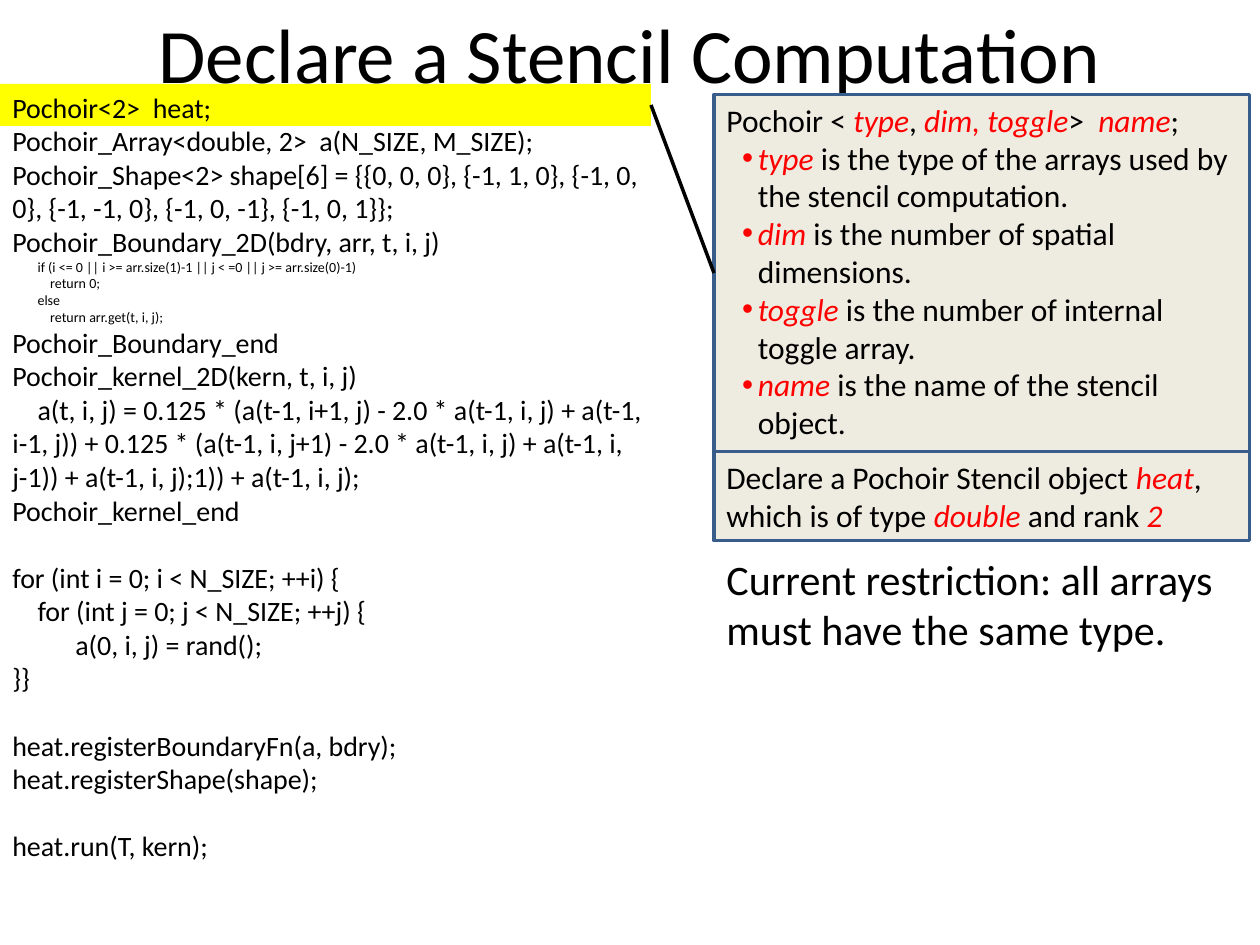
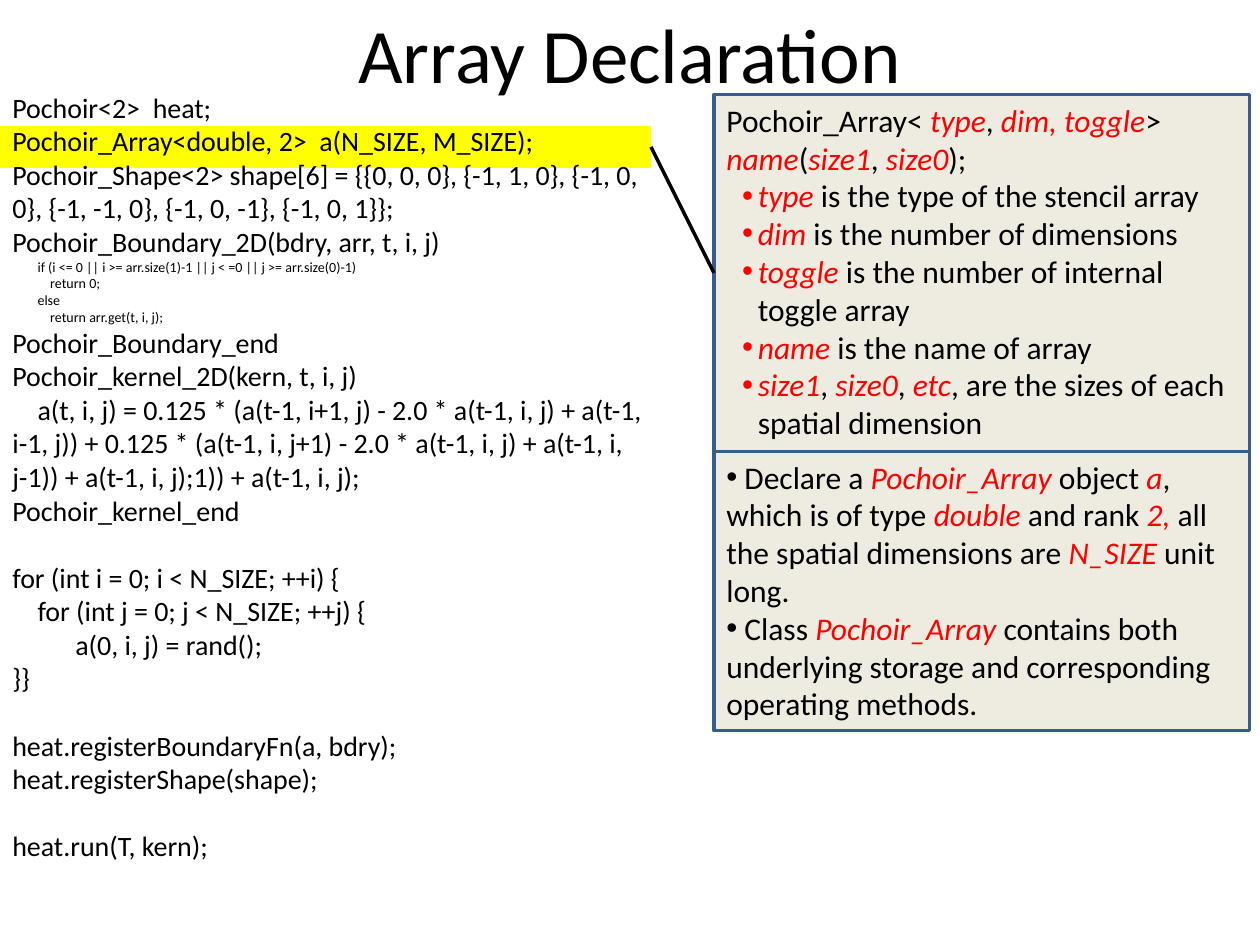
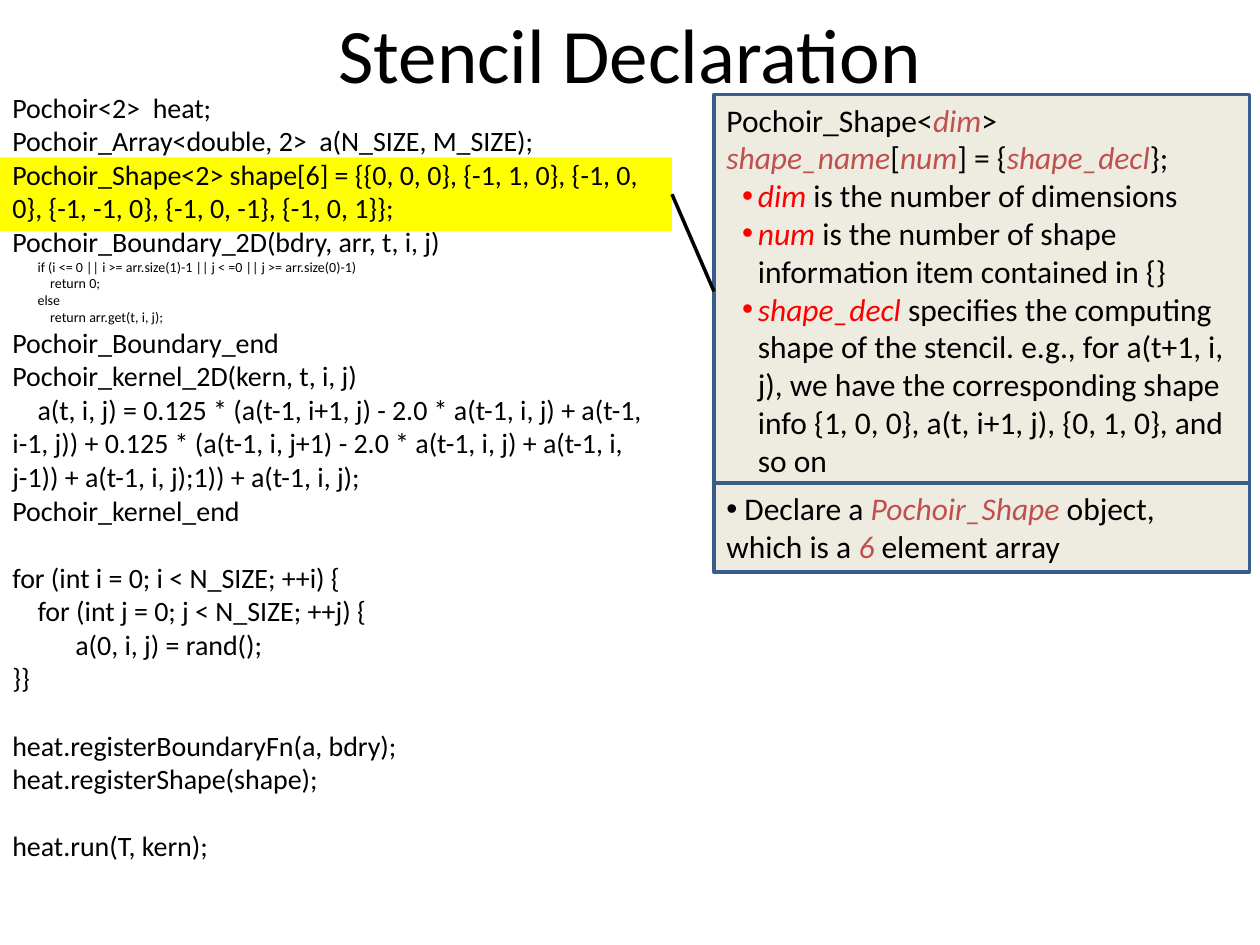
from lxml.etree import SubElement
from pptx import Presentation
from pptx.dml.color import RGBColor
from pptx.enum.shapes import MSO_CONNECTOR as Connector, MSO_SHAPE as Shape
from pptx.enum.text import MSO_ANCHOR as Anchor, MSO_AUTO_SIZE as AutoSize, PP_ALIGN as Align
from pptx.oxml.ns import qn
from pptx.util import Emu, Pt

EMU_PER_PX = 7620
TITLE_ONLY = 5
TOP, LEFT, BOTTOM, RIGHT = range(4)
BLACK, WHITE, RED, BRICK = "000000", "FFFFFF", "FF0000", "C0504D"
YELLOW, CREAM, NAVY = "FFFF00", "EEECE1", "385D8A"
CARD_X, CARD_Y, CARD_W = 680, 90, 510
CODE_SIZE, SMALL_SIZE, CODE_LINE = 16, 8, 19.2

CODE = [
    ("Pochoir<2>  heat;", 0),
    ("Pochoir_Array<double, 2>  a(N_SIZE, M_SIZE);", 0),
    ("Pochoir_Shape<2> shape[6] = {{0, 0, 0}, {-1, 1, 0}, {-1, 0, 0}, "
     "{-1, -1, 0}, {-1, 0, -1}, {-1, 0, 1}};", 0),
    ("Pochoir_Boundary_2D(bdry, arr, t, i, j)", 0),
    ("if (i <= 0 || i >= arr.size(1)-1 || j < =0 || j >= arr.size(0)-1)", 24),
    ("return 0;", 36),
    ("else", 24),
    ("return arr.get(t, i, j);", 36),
    ("Pochoir_Boundary_end", 0),
    ("Pochoir_kernel_2D(kern, t, i, j)", 0),
    ("a(t, i, j) = 0.125 * (a(t-1, i+1, j) - 2.0 * a(t-1, i, j) + a(t-1, i-1, j)) "
     "+ 0.125 * (a(t-1, i, j+1) - 2.0 * a(t-1, i, j) + a(t-1, i, j-1)) "
     "+ a(t-1, i, j);1)) + a(t-1, i, j);", 24),
    ("Pochoir_kernel_end", 0),
    ("for (int i = 0; i < N_SIZE; ++i) {", 0),
    ("for (int j = 0; j < N_SIZE; ++j) {", 24),
    ("a(0, i, j) = rand();", 60),
    ("}}", 0),
    ("heat.registerBoundaryFn(a, bdry);", 0),
    ("heat.registerShape(shape);", 0),
    ("heat.run(T, kern);", 0),
]
SMALL_LINES = range(4, 8)
BLOCK_STARTS = (12, 16, 18)


def px(length):
    return Emu(length * EMU_PER_PX)


def color(value):
    return RGBColor.from_string(value)


class Deck:
    font = "Calibri"

    def __init__(self):
        self.presentation = Presentation()
        self.presentation.slide_width = px(1200)
        self.presentation.slide_height = px(900)
        self.slide = None

    def new_slide(self):
        layout = self.presentation.slide_layouts[TITLE_ONLY]
        self.slide = self.presentation.slides.add_slide(layout)
        background = self.slide.background.fill
        background.solid()
        background.fore_color.rgb = color(WHITE)

    def format(self, run, size, tint=BLACK, italic=False):
        run.font.name = self.font
        run.font.size = Pt(size)
        run.font.color.rgb = color(tint)
        run.font.italic = italic

    def indent(self, paragraph, margin, first, bullet=False):
        properties = paragraph._p.get_or_add_pPr()
        properties.set("marL", str(px(margin)))
        properties.set("indent", str(px(first)))
        if bullet:
            SubElement(properties, qn("a:buFont"), typeface="Arial")
            SubElement(properties, qn("a:buChar"), char="•")

    def title(self, text):
        heading = self.slide.shapes.title
        heading.left, heading.top = px(60), px(0)
        heading.width, heading.height = px(1080), px(100)
        frame = heading.text_frame
        frame.text = text
        frame.auto_size = AutoSize.NONE
        frame.vertical_anchor = Anchor.MIDDLE
        frame.paragraphs[0].alignment = Align.CENTER
        self.format(frame.paragraphs[0].runs[0], 44)
        heading.element.getparent().append(heading.element)

    def rectangle(self, x, y, width, height, fill, line=None):
        box = self.slide.shapes.add_shape(
            Shape.RECTANGLE, px(x), px(y), px(width), px(height))
        box.shadow.inherit = False
        box.fill.solid()
        box.fill.fore_color.rgb = color(fill)
        if line:
            box.line.color.rgb = color(line)
            box.line.width = Pt(2)
        else:
            box.line.fill.background()
        return box

    def text(self, x, y, width, height, lines, size):
        box = self.slide.shapes.add_textbox(px(x), px(y), px(width), px(height))
        frame = box.text_frame
        frame.word_wrap = True
        frame.auto_size = AutoSize.SHAPE_TO_FIT_TEXT
        frame.text = "\n".join(lines)
        for paragraph in frame.paragraphs:
            self.format(paragraph.runs[0], size)
        return frame

    def code(self):
        frame = self.text(0, 80, 650, 755, [line for line, _ in CODE], CODE_SIZE)
        for number, (paragraph, (_, first)) in enumerate(zip(frame.paragraphs, CODE)):
            self.indent(paragraph, 0, first)
            if number in SMALL_LINES:
                paragraph.runs[0].font.size = Pt(SMALL_SIZE)
            if number in BLOCK_STARTS:
                paragraph.space_before = Pt(CODE_LINE)

    def emphasize(self, paragraph, marked, tint):
        for number, part in enumerate(marked.split("*")):
            if part:
                run = paragraph.add_run()
                run.text = part
                emphatic = number % 2 == 1
                self.format(run, 18, tint if emphatic else BLACK, emphatic)

    def card(self, y, height, lines, bullets=(), lead_tint=RED, flat_bullets=False):
        box = self.rectangle(CARD_X, y, CARD_W, height, CREAM, NAVY)
        frame = box.text_frame
        frame.word_wrap = True
        frame.auto_size = AutoSize.SHAPE_TO_FIT_TEXT
        frame.vertical_anchor = Anchor.TOP
        for number, marked in enumerate([*lines, *bullets]):
            paragraph = frame.paragraphs[0] if number == 0 else frame.add_paragraph()
            paragraph.alignment = Align.LEFT
            is_lead = number < len(lines)
            if not is_lead:
                paragraph.level = 1
                self.indent(paragraph, 30, -15, bullet=True)
            elif flat_bullets:
                self.indent(paragraph, 0, 0, bullet=True)
            self.emphasize(paragraph, marked, lead_tint if is_lead else RED)
        return box

    def link(self, start, end):
        line = self.slide.shapes.add_connector(Connector.STRAIGHT, 0, 0, 0, 0)
        line.begin_connect(start, RIGHT)
        line.end_connect(end, LEFT)
        line.line.color.rgb = color(BLACK)
        line.line.width = Pt(2)
        SubElement(line.element.spPr, qn("a:effectLst"))

    def walkthrough(self, title, highlight, height, syntax, terms, tint=RED):
        self.new_slide()
        marked_code = self.rectangle(0, *highlight, YELLOW)
        self.code()
        self.title(title)
        definition = self.card(CARD_Y, height, [syntax], terms, tint)
        self.link(marked_code, definition)


def main():
    deck = Deck()

    deck.walkthrough(
        "Declare a Stencil Computation", (80, 620, 40), 340,
        "Pochoir < *type*, *dim, toggle*>  *name*;",
        ["*type *is the type of the arrays used by the stencil computation.",
         "*dim* is the number of spatial dimensions.",
         "*toggle* is the number of internal toggle array.",
         "*name *is the name of the stencil object."])
    deck.text(CARD_X, 521, CARD_W, 109,
              ["Current restriction: all arrays must have the same type."], 24)
    deck.card(430, 85, ["Declare a Pochoir Stencil object *heat*, "
                        "which is of type *double* and rank *2*"])

    deck.walkthrough(
        "Array Declaration", (120, 620, 40), 340,
        "Pochoir_Array< *type*, *dim, toggle*>  *name*(*size1*, *size0*);",
        ["*type *is the type of the stencil array",
         "*dim* is the number of dimensions",
         "*toggle* is the number of internal toggle array",
         "*name *is the name of array",
         "*size1*, *size0*, *etc*, are the sizes of each spatial dimension"])
    deck.card(430, 266, [
        " Declare a *Pochoir_Array* object *a*, which is of type *double* and rank *2, *"
        "all the spatial dimensions are* N_SIZE *unit long.",
        " Class *Pochoir_Array* contains both underlying storage "
        "and corresponding operating methods."], flat_bullets=True)

    deck.walkthrough(
        "Stencil Declaration", (150, 640, 70), 375,
        "Pochoir_Shape<*dim*> *shape_name*[*num*] = {*shape_decl*};",
        ["*dim *is the number of dimensions",
         "*num *is the number of shape information item contained in {}",
         "*shape_decl* specifies the computing shape of the stencil. e.g., "
         "for a(t+1, i, j), we have the corresponding shape info {1, 0, 0}, "
         "a(t, i+1, j), {0, 1, 0}, and so on"], BRICK)
    deck.card(460, 85, [" Declare a *Pochoir_Shape* object, which is a *6 *element array"],
              lead_tint=BRICK, flat_bullets=True)

    deck.presentation.save("out.pptx")


if __name__ == "__main__":
    main()
